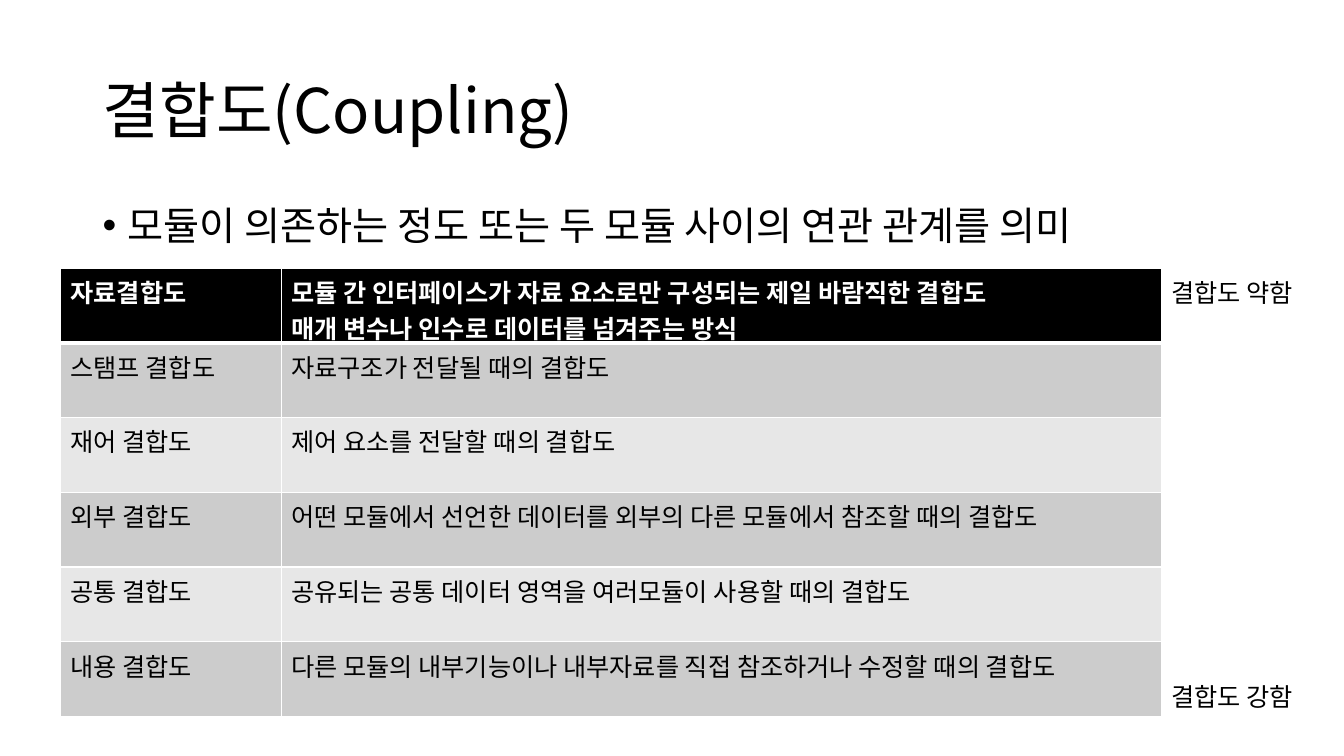
from lxml import etree
from pptx import Presentation
from pptx.dml.color import RGBColor
from pptx.enum.text import MSO_ANCHOR
from pptx.oxml.ns import qn
from pptx.util import Inches, Pt

BLACK = RGBColor(0x00, 0x00, 0x00)
WHITE = RGBColor(0xFF, 0xFF, 0xFF)
DARK_BAND = RGBColor(0xCC, 0xCC, 0xCC)
LIGHT_BAND = RGBColor(0xE7, 0xE7, 0xE7)
TOP = MSO_ANCHOR.TOP
MIDDLE = MSO_ANCHOR.MIDDLE

COUPLINGS = [
    ("자료결합도", "모듈 간 인터페이스가 자료 요소로만 구성되는 제일 바람직한 결합도\n"
                  "매개 변수나 인수로 데이터를 넘겨주는 방식"),
    ("스탬프 결합도", "자료구조가 전달될 때의 결합도"),
    ("재어 결합도", "제어 요소를 전달할 때의 결합도"),
    ("외부 결합도", "어떤 모듈에서 선언한 데이터를 외부의 다른 모듈에서 참조할 때의 결합도"),
    ("공통 결합도", "공유되는 공통 데이터 영역을 여러모듈이 사용할 때의 결합도"),
    ("내용 결합도", "다른 모듈의 내부기능이나 내부자료를 직접 참조하거나 수정할 때의 결합도"),
]


class Deck:
    font = "Noto Sans CJK KR"

    def __init__(self, width, height):
        self.prs = Presentation()
        self.prs.slide_width = Inches(width)
        self.prs.slide_height = Inches(height)
        self.slide = self.prs.slides.add_slide(self.prs.slide_layouts[6])

    def fill_text(self, tf, text, size, color=BLACK, bold=False, line_spacing=None):
        style = {"name": self.font, "size": Pt(size), "bold": bold}
        for i, line in enumerate(text.split("\n")):
            p = tf.add_paragraph() if i else tf.paragraphs[0]
            p.line_spacing = line_spacing
            r = p.add_run()
            r.text = line
            for name, value in style.items():
                setattr(r.font, name, value)
            r.font.color.rgb = color
            etree.SubElement(r.font._element, qn("a:ea"), typeface=self.font)

    def text(self, box, text, size, anchor=TOP, line_spacing=None):
        sp = self.slide.shapes.add_textbox(*map(Inches, box))
        tf = sp.text_frame
        tf.word_wrap = True
        tf.vertical_anchor = anchor
        self.fill_text(tf, text, size, line_spacing=line_spacing)
        return tf

    def bullet(self, box, text, size):
        p = self.text(box, text, size, line_spacing=0.9).paragraphs[0]
        pPr = p._p.get_or_add_pPr()
        pPr.set("marL", str(Inches(0.25)))
        pPr.set("indent", str(-Inches(0.25)))
        etree.SubElement(pPr, qn("a:buFont"), typeface="Arial")
        etree.SubElement(pPr, qn("a:buChar"), char="•")

    def borders(self, cell, widths):
        tcPr = cell._tc.get_or_add_tcPr()
        for i, (side, width) in enumerate(widths.items()):
            ln = etree.Element(qn(f"a:ln{side}"), w=str(Pt(width)))
            fill = etree.SubElement(ln, qn("a:solidFill"))
            etree.SubElement(fill, qn("a:srgbClr"), val=str(WHITE))
            tcPr.insert(i, ln)

    def table(self, box, rows, col_widths, size):
        frame = self.slide.shapes.add_table(len(rows), len(col_widths), *map(Inches, box))
        table = frame.table
        for col, width in zip(table.columns, col_widths):
            col.width = Inches(width)
        for i, row in enumerate(rows):
            header = i == 0
            fill = BLACK if header else DARK_BAND if i % 2 else LIGHT_BAND
            widths = {"L": 1, "R": 1, "T": 3 if i == 1 else 1, "B": 3 if header else 1}
            for j, text in enumerate(row):
                cell = table.cell(i, j)
                cell.fill.solid()
                cell.fill.fore_color.rgb = fill
                self.borders(cell, widths)
                self.fill_text(cell.text_frame, text, size, WHITE if header else BLACK, header)


def main():
    deck = Deck(13.33, 7.5)
    deck.text((0.92, 0.4, 11.5, 1.45), "결합도(Coupling)", 44, MIDDLE, 0.9)
    deck.bullet((0.92, 2, 11.5, 4.76), "모듈이 의존하는 정도 또는 두 모듈 사이의 연관 관계를 의미", 28)
    deck.table((0.6, 2.66, 10.92, 4.45), COUPLINGS, (2.19, 8.73), 18)
    for top, label in ((2.7, "결합도 약함"), (6.71, "결합도 강함")):
        deck.text((11.52, top, 3, 0.4), label, 18)
    deck.prs.save("out.pptx")


if __name__ == "__main__":
    main()
